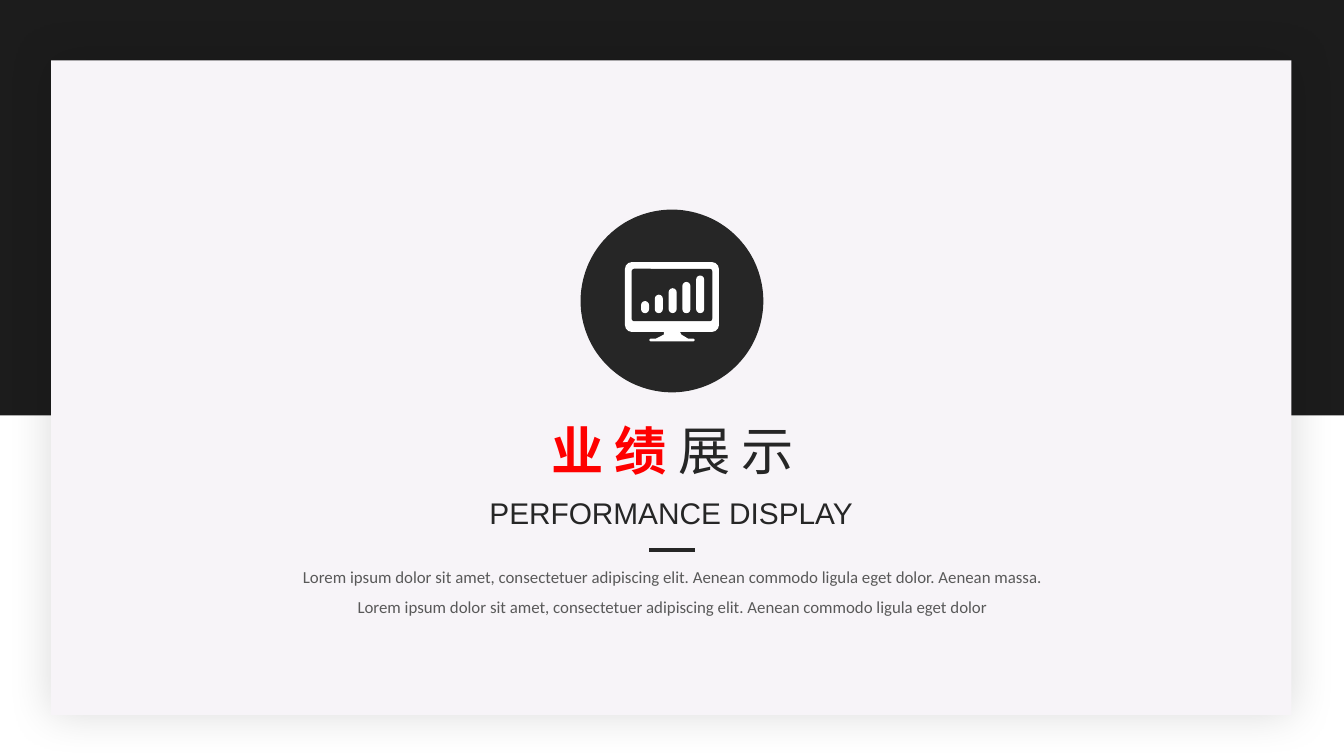
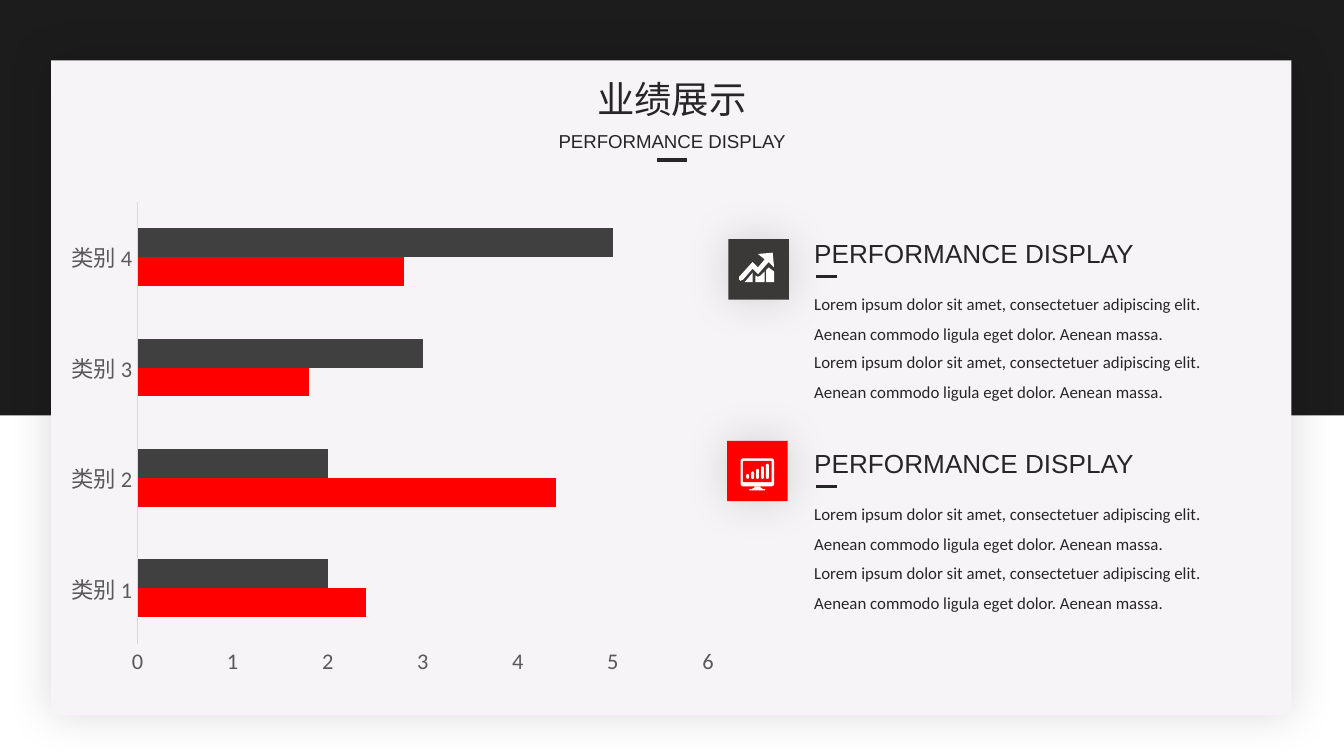
from lxml import etree
from pptx import Presentation
from pptx.chart.data import CategoryChartData
from pptx.dml.color import RGBColor
from pptx.enum.chart import XL_CHART_TYPE, XL_TICK_MARK
from pptx.enum.shapes import MSO_CONNECTOR, MSO_SHAPE
from pptx.enum.text import MSO_ANCHOR, MSO_AUTO_SIZE, PP_ALIGN
from pptx.oxml.ns import qn
from pptx.util import Inches, Pt

RECTANGLE, ROUNDED, OVAL = MSO_SHAPE.RECTANGLE, MSO_SHAPE.ROUNDED_RECTANGLE, MSO_SHAPE.OVAL
CENTER, LEFT = PP_ALIGN.CENTER, PP_ALIGN.LEFT
STRAIGHT, BAR_CLUSTERED = MSO_CONNECTOR.STRAIGHT, XL_CHART_TYPE.BAR_CLUSTERED
NO_TICK, TOP = XL_TICK_MARK.NONE, MSO_ANCHOR.TOP
GROW = MSO_AUTO_SIZE.SHAPE_TO_FIT_TEXT

BLACK, PANEL, INK, GRAY = "1C1C1C", "F7F4F8", "262626", "595959"
RED, WHITE, TILE, BAR, AXIS = "FE0000", "FFFFFF", "3B3838", "404040", "D9D9D9"
CJK, LATIN, BODY = "Noto Sans CJK SC", "Arial", "Calibri"

HEADING = "PERFORMANCE DISPLAY"
LOREM = "Lorem ipsum dolor sit amet, consectetuer adipiscing elit. Aenean commodo ligula eget dolor"
LOREM_LONG = LOREM + ". Aenean massa."


def paint(fill, color):
    fill.solid()
    fill.fore_color.rgb = RGBColor.from_string(color)


def write(shape, box, text, size, font, color=INK, align=CENTER, spacing=None):
    shape.left, shape.top, shape.width, shape.height = [Inches(value) for value in box]
    frame = shape.text_frame
    frame.text = text
    frame.word_wrap = spacing is not None
    frame.auto_size = GROW
    frame.vertical_anchor = TOP
    paragraph = frame.paragraphs[0]
    paragraph.alignment = align
    if spacing:
        paragraph.line_spacing = spacing
    paragraph.font.size = Pt(size)
    paragraph.font.name = font
    paint(paragraph.font.fill, color)
    return paragraph


presentation = Presentation()
presentation.slide_width = Inches(10)
presentation.slide_height = presentation.slide_width * 9 // 16
title_only = presentation.slide_layouts[5]
cover = presentation.slides.add_slide(title_only)
report = presentation.slides.add_slide(title_only)

solids = []
shadowed = []
master_tree = presentation.slide_master.shapes.element

for index, (box, color) in enumerate([((0, 0, 10, 3.09), BLACK), ((0.38, 0.45, 9.23, 4.87), PANEL)]):
    backdrop = cover.shapes.add_shape(RECTANGLE, *[Inches(value) for value in box])
    backdrop.element.nvSpPr.cNvPr.set("id", str(100 + index))
    master_tree.insert(2 + index, backdrop.element)
    solids.append((backdrop, color))
shadowed.append(backdrop)

disc = cover.shapes.add_shape(OVAL, Inches(4.32), Inches(1.56), Inches(1.36), Inches(1.36))
solids.append((disc, INK))

cover_title = write(cover.shapes.title, (3.95, 3.06, 2.11, 0.57), "业绩", 28, CJK)
cover_title.add_run().text = "展示"
for run, color, bold in zip(cover_title.runs, (RED, INK), (True, False)):
    paint(run.font.fill, color)
    run.font.bold = bold
    run._r.get_or_add_rPr().set("spc", "600")
report_title = write(report.shapes.title, (4.34, 0.52, 1.32, 0.44), "业绩展示", 20, CJK)
for paragraph in (cover_title, report_title):
    for latin in paragraph._p.findall(".//" + qn("a:latin")):
        latin.addnext(etree.Element(qn("a:ea"), typeface=CJK))

texts = [
    (cover, (3.53, 3.63, 2.93, 0.37), HEADING, 16, LATIN),
    (cover, (2.02, 4.09, 5.96, 0.56), f"{LOREM_LONG} {LOREM}", 9, BODY, GRAY, CENTER, 1.5),
    (report, (4.04, 0.92, 1.92, 0.27), HEADING, 10, LATIN),
]
rules = [(cover, 4.83, 5.17, 4.09, 2.25), (report, 4.89, 5.11, 1.19, 2.25)]

for heading_top, body_tops, tile_left, tile_top, color in [
        (1.72, (2.06, 2.49), 5.42, 1.78, TILE), (3.28, (3.62, 4.06), 5.41, 3.28, RED)]:
    tile = report.shapes.add_shape(
        RECTANGLE, Inches(tile_left), Inches(tile_top), Inches(0.45), Inches(0.45))
    solids.append((tile, color))
    shadowed.append(tile)
    texts.append((report, (5.96, heading_top, 2.6, 0.34), HEADING, 14, LATIN, INK, LEFT))
    for body_top in body_tops:
        texts.append((report, (5.96, body_top, 3.29, 0.56), LOREM_LONG, 9, BODY, INK, LEFT, 1.5))
    rules.append((report, 6.07, 6.23, body_tops[0], 1.5))

for slide, *content in texts:
    write(slide.shapes.add_textbox(0, 0, 0, 0), *content)

for slide, start, end, y, width in rules:
    rule = slide.shapes.add_connector(STRAIGHT, Inches(start), Inches(y), Inches(end), Inches(y))
    paint(rule.line.fill, INK)
    rule.line.width = Pt(width)
    etree.SubElement(rule.element.spPr, qn("a:effectLst"))

chart_data = CategoryChartData()
chart_data.categories = [f"类别 {number}" for number in range(1, 5)]
chart_data.add_series("Series 1", (2.4, 4.4, 1.8, 2.8))
chart_data.add_series("Series 2", (2, 2, 3, 5))
chart = report.shapes.add_chart(
    BAR_CLUSTERED, Inches(0.43), Inches(1.43), Inches(4.98), Inches(3.67), chart_data).chart
chart.has_title = False
chart.has_legend = False
chart.font.size = Pt(10)
chart.font.name = BODY
plot = chart.plots[0]
plot.gap_width = 182
plot.vary_by_categories = False
for series, color in zip(plot.series, (RED, BAR)):
    paint(series.format.fill, color)
for axis in (chart.category_axis, chart.value_axis):
    axis.major_tick_mark = NO_TICK
    axis.minor_tick_mark = NO_TICK
    axis.has_major_gridlines = False
    axis.tick_labels.font.size = Pt(12)
    axis.tick_labels.font.name = BODY
    paint(axis.tick_labels.font.fill, GRAY)
paint(chart.category_axis.format.line.fill, AXIS)
chart.category_axis.format.line.width = Pt(0.75)
chart.value_axis.format.line.fill.background()
chart.value_axis.minimum_scale = 0
chart.value_axis.maximum_scale = 6
chart.value_axis.major_unit = 1

stand = [(494, 247), (494, 249), (488, 252), (484, 252), (483, 253), (484, 254),
         (516, 254), (517, 253), (516, 252), (512, 252), (507, 249), (506, 247)]
trend = [
    [(570, 201), (572, 199), (576, 202), (576, 210), (570, 210)],
    [(562, 205), (564, 206), (566, 205), (569, 202), (569, 210), (562, 210)],
    [(554, 210), (560, 203), (560, 210)],
    [(560, 200), (553, 208), (551, 209), (550, 208), (550, 206), (559, 196),
     (560, 195), (561, 196), (564, 199), (569, 193), (564, 189), (575, 188),
     (576, 199), (572, 195), (565, 203), (564, 204), (563, 203)],
]
monitor_parts = [(4.65, 1.95, 0.7, 0.52, 0.1), (4.7, 2, 0.6, 0.39, 0.05)]
for index in range(5):
    height = 0.09 + 0.19 * index / 4
    monitor_parts.append((4.77 + 0.41 * index / 4, 2.33 - height, 0.06, height, 0.5))

outlines = [(report.shapes.add_group_shape(), trend)]
for slide, box, screen_color in [(cover, (4.65, 1.95, 0.7, 0.59), INK),
                                 (report, (5.51, 3.41, 0.25, 0.21), RED)]:
    monitor = slide.shapes.add_group_shape()
    for index, (*part_box, radius) in enumerate(monitor_parts):
        part = monitor.shapes.add_shape(ROUNDED, *[Inches(value) for value in part_box])
        part.adjustments[0] = radius
        solids.append((part, screen_color if index == 1 else WHITE))
    outlines.append((monitor, [stand]))

for group, polygons in outlines:
    for points in polygons:
        builder = group.shapes.build_freeform(*points[0], scale=Inches(0.01))
        builder.add_line_segments(points[1:], close=True)
        solids.append((builder.convert_to_shape(), WHITE))
monitor.left, monitor.top, monitor.width, monitor.height = [Inches(value) for value in box]

for shape, color in solids:
    paint(shape.fill, color)
    shape.line.fill.background()
    shape.shadow.inherit = False

for shape in shadowed:
    effects = shape.element.spPr.find(qn("a:effectLst"))
    shadow = etree.SubElement(effects, qn("a:outerShdw"), blurRad=str(Pt(24)), dist="0", algn="ctr")
    shadow_color = etree.SubElement(shadow, qn("a:srgbClr"), val="000000")
    etree.SubElement(shadow_color, qn("a:alpha"), val="15000")

presentation.save("out.pptx")
